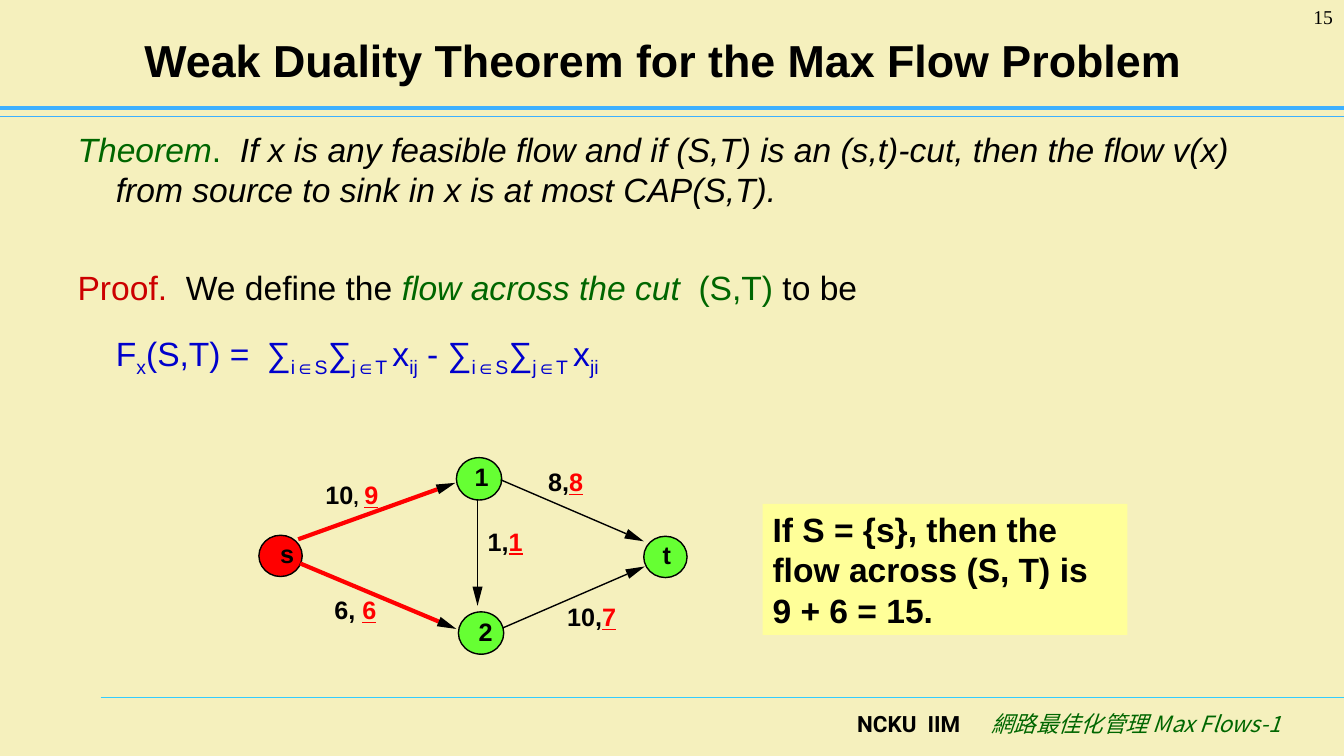
from dataclasses import dataclass
from math import hypot

from lxml.etree import SubElement
from pptx import Presentation
from pptx.dml.color import RGBColor
from pptx.enum.shapes import MSO_CONNECTOR as CONN, MSO_SHAPE as SHAPE
from pptx.enum.text import MSO_ANCHOR as ANCHOR, MSO_AUTO_SIZE as AUTO, PP_ALIGN as ALIGN
from pptx.oxml.ns import qn
from pptx.util import Inches, Pt


@dataclass(frozen=True)
class Theme:
    paper: str = "F5F0BD"
    rule: str = "3DB0FF"
    foot_rule: str = "33CCFF"
    ink: str = "000000"
    green: str = "006600"
    crimson: str = "CC0000"
    blue: str = "0000CC"
    red: str = "FF0000"
    node: str = "66FF33"
    callout: str = "FFFF99"
    font: str = "Arial"
    title: int = 32
    body: int = 24
    label: int = 18
    footer: int = 16
    small: int = 14


T = Theme()
COLS, ROWS = 133.4, 75
CELL = Inches(0.1)

TITLE = "Weak Duality Theorem for the Max Flow Problem"
TITLE_AT = (11.7, 3, 108.3, 5.8)
BODY_AT = (6.7, 12.3, 123, 55.1)
HANG = 3.8
FORMULA_TABS = (20,)

SUB, ITALIC = {"sub": True}, {"italic": True}
GREEN, INK = {"color": T.green}, {"color": T.ink}
DOUBLE_SUM = [("∑", {}), ("i∈S", SUB), ("∑", {}), ("j∈T ", SUB), ("x", {})]
FORMULA = [("F", {}), ("x", SUB), ("(S,T) =\t", {}), *DOUBLE_SUM, ("ij", SUB),
           (" - ", {}), *DOUBLE_SUM, ("ji", SUB)]
BODY = [
    (0, -HANG, (), [
        ("Theorem", GREEN | ITALIC), (".  ", GREEN),
        ("If x is any feasible flow and if (S,T) is an (s,t)-cut, then the flow v(x) "
         "from source to sink in x is at most CAP(S,T).", ITALIC)]),
    (41, -HANG, (), [
        ("Proof.", {"color": T.crimson}), ("  We define the ", INK),
        ("flow across the cut  ", GREEN | ITALIC), ("(S,T)", GREEN), (" to be", INK)]),
    (18, 0, FORMULA_TABS, [(text, {"color": T.blue} | f) for text, f in FORMULA]),
]

RULES = [(0, 10.7, T.rule, 2.5), (0, 11.6, T.rule, 0.75), (10, 69.2, T.foot_rule, 0.75)]
CORNERS = [
    ((122.2, 0, 11.1, 5), "15", {"size": T.small, "name": "Times New Roman"}),
    ((76, 70, 20.3, 5), "NCKU  IIM", {"size": T.footer, "name": "Roboto", "bold": True}),
    ((92, 70, 36.1, 5), "網路最佳化管理 Max Flows-1",
     {"size": T.footer, "name": "Noto Sans CJK SC", "italic": True, "color": T.green}),
]
NODES = [
    ("s", (25.7, 53.1, 4.3, 4.1), T.red, 1.3),
    ("1", (45.3, 45.4, 4.5, 4.2), T.node, 0.5),
    ("2", (45.5, 60.7, 4.5, 4.2), T.node, 0.9),
    ("t", (63.9, 53.2, 4.3, 4.1), T.node, 0.3),
]
EDGES = [
    ((29.6, 53.5), (45.2, 47.9), T.red, 3),
    ((29.8, 55.9), (45.3, 62.4), T.red, 3),
    ((49.7, 47.6), (63.9, 53.7), T.ink, 1),
    ((49.9, 62.3), (64, 56.2), T.ink, 1),
    ((47.4, 49.5), (47.4, 60.1), T.ink, 1),
]
HEAD_LENGTH, HEAD_HALF = 1.9, 0.5
FLOWS = [
    (32.3, 47.6, "10", ", ", "9", T.small),
    (54.4, 46.3, "8", ",", "8", T.label),
    (48.4, 52.2, "1", ",", "1", T.label),
    (56.3, 59.7, "10", ",", "7", T.label),
    (33.2, 59, "6", ", ", "6", T.label),
]
CALLOUT = ("If S = {s}, then the flow across (S, T) is ", "9 + 6 = 15.")
CALLOUT_AT = (75.7, 50, 36.2, 13)


def cells(values):
    return [round(v * CELL) for v in values]


def rgb(color):
    return RGBColor.from_string(color)


def write(p, runs, base):
    for text, extra in runs:
        fmt = {"name": T.font, "bold": False, "italic": False, "color": T.ink} | base | extra
        r = p.add_run()
        r.text = text
        r.font.color.rgb = rgb(fmt.pop("color"))
        r.font.size = Pt(fmt.pop("size"))
        if fmt.pop("sub", False):
            r.font._element.set("baseline", "-25000")
        for key, value in fmt.items():
            setattr(r.font, key, value)
        SubElement(r.font._element, qn("a:ea")).set("typeface", fmt["name"])


def frame(shape, inset=(1, 0.5, 1, 0.5), wrap=True, anchor=ANCHOR.TOP):
    tf = shape.text_frame
    sides = dict(zip(("margin_left", "margin_top", "margin_right", "margin_bottom"), cells(inset)))
    for key, value in (sides | {"word_wrap": wrap, "vertical_anchor": anchor,
                                "auto_size": AUTO.NONE}).items():
        setattr(tf, key, value)
    return tf


def place(shape, at):
    shape.left, shape.top, shape.width, shape.height = cells(at)


def paint(shape, fill, line=None):
    shape.shadow.inherit = False
    shape.fill.solid()
    shape.fill.fore_color.rgb = rgb(fill)
    if line:
        shape.line.color.rgb = rgb(line)
        shape.line.width = Pt(1)
    else:
        shape.line.fill.background()


def draw_line(s, start, end, color, width):
    c = s.shapes.add_connector(CONN.STRAIGHT, *cells((*start, *end)))
    c.line.color.rgb = rgb(color)
    c.line.width = Pt(width)
    SubElement(c._element.spPr, qn("a:effectLst"))


def draw_edge(s, start, tip, color, width):
    dx, dy = tip[0] - start[0], tip[1] - start[1]
    length = hypot(dx, dy)
    ux, uy = dx / length, dy / length
    bx, by = tip[0] - ux * HEAD_LENGTH, tip[1] - uy * HEAD_LENGTH
    draw_line(s, start, (bx, by), color, width)
    wings = [cells((bx + k * uy, by - k * ux)) for k in (HEAD_HALF, -HEAD_HALF)]
    builder = s.shapes.build_freeform(*cells(tip))
    builder.add_line_segments(wings, close=True)
    paint(builder.convert_to_shape(), T.ink)


def fill_body(shape):
    place(shape, BODY_AT)
    tf = frame(shape)
    for i, (before, indent, tabs, runs) in enumerate(BODY):
        p = tf.paragraphs[0] if i == 0 else tf.add_paragraph()
        pPr = p._p.get_or_add_pPr()
        for key, value in zip(("marL", "indent"), cells((HANG, indent))):
            pPr.set(key, str(value))
        SubElement(pPr, qn("a:buNone"))
        if tabs:
            tab_list = SubElement(pPr, qn("a:tabLst"))
            for pos in cells(tabs):
                SubElement(tab_list, qn("a:tab"), pos=str(pos), algn="l")
        p.space_before = Pt(before)
        write(p, runs, {"size": T.body})


def main():
    prs = Presentation()
    prs.slide_width, prs.slide_height = cells((COLS, ROWS))
    s = prs.slides.add_slide(prs.slide_layouts[1])
    s.background.fill.solid()
    s.background.fill.fore_color.rgb = rgb(T.paper)

    for left, y, color, width in RULES:
        draw_line(s, (left, y), (COLS, y), color, width)

    title, body = s.placeholders
    place(title, TITLE_AT)
    p = frame(title, anchor=ANCHOR.MIDDLE).paragraphs[0]
    p.alignment = ALIGN.CENTER
    write(p, [(TITLE, {})], {"size": T.title, "bold": True})
    fill_body(body)

    for at, text, fmt in CORNERS:
        p = frame(s.shapes.add_textbox(*cells(at))).paragraphs[0]
        p.alignment = ALIGN.RIGHT
        write(p, [(text, {})], fmt)

    label = {"size": T.label, "bold": True}
    for name, at, fill, nudge in NODES:
        node = s.shapes.add_shape(SHAPE.OVAL, *cells(at))
        paint(node, fill, T.ink)
        p = frame(node, (nudge, 0, 0, 0.4), False, ANCHOR.MIDDLE).paragraphs[0]
        p.alignment = ALIGN.CENTER
        write(p, [(name, {})], label)

    for edge in EDGES:
        draw_edge(s, *edge)

    for x, y, capacity, comma, flow, comma_size in FLOWS:
        box = s.shapes.add_textbox(*cells((x, y, 5.5, 3)))
        runs = [(capacity, {}), (comma, {"size": comma_size}),
                (flow, {"color": T.red, "underline": True})]
        write(frame(box, (0, 0, 0, 0), False).paragraphs[0], runs, label)

    note = s.shapes.add_shape(SHAPE.RECTANGLE, *cells(CALLOUT_AT))
    paint(note, T.callout)
    p = frame(note).paragraphs[0]
    p.alignment = ALIGN.LEFT
    for i, text in enumerate(CALLOUT):
        if i:
            p.add_line_break()
        write(p, [(text, {})], {"size": T.body, "bold": True})

    prs.save("out.pptx")


if __name__ == "__main__":
    main()
